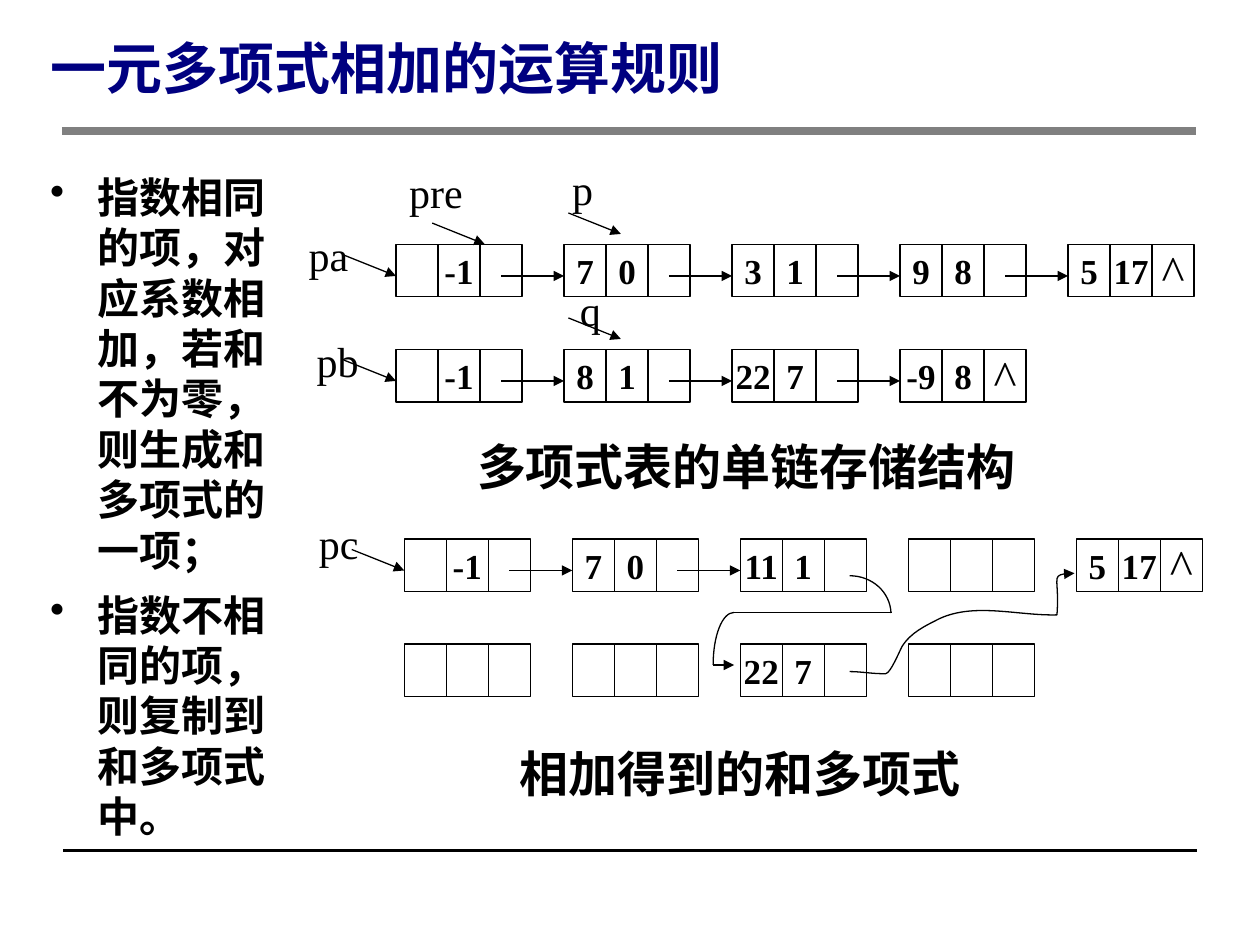
from lxml.etree import SubElement
from pptx import Presentation
from pptx.dml.color import RGBColor
from pptx.enum.shapes import MSO_CONNECTOR, MSO_SHAPE
from pptx.enum.text import MSO_ANCHOR, PP_ALIGN
from pptx.oxml.ns import qn
from pptx.util import Pt

BLACK = RGBColor(0, 0, 0)
GRAY = RGBColor(128, 128, 128)
NAVY = RGBColor(0, 0, 128)
LATIN = "Times New Roman"
HAN = "Noto Sans CJK SC"
CELL, HIGH, PITCH, DROP = 24, 30, 96, 18


class Board:
    def __init__(self, slide):
        self.slide = slide
        self.shapes = slide.shapes

    def stroke(self, line, width=0.75, color=BLACK, tip=False):
        line.color.rgb = color
        line.width = Pt(width)
        if tip:
            SubElement(line._get_or_add_ln(), qn("a:tailEnd"), type="triangle")

    def line(self, x, y, wide, high=0, tip=False, width=0.75, color=BLACK):
        link = self.shapes.add_connector(
            MSO_CONNECTOR.STRAIGHT, Pt(x), Pt(y), Pt(x + wide), Pt(y + high))
        self.stroke(link.line, width, color, tip)
        SubElement(link._element.spPr, qn("a:effectLst"))

    def dart(self, x, y):
        self.line(x, y, 30, 12, tip=True)

    def run(self, para, text, size, font=LATIN, bold=False, color=BLACK):
        run = para.add_run()
        run.text = text
        run.font.size = Pt(size)
        run.font.bold = bold
        run.font.color.rgb = color
        run.font.name = font
        SubElement(run._r.get_or_add_rPr(), qn("a:ea"), typeface=font)

    def cell(self, x, y, text):
        box = self.shapes.add_shape(
            MSO_SHAPE.RECTANGLE, Pt(x), Pt(y), Pt(CELL), Pt(HIGH))
        box.shadow.inherit = False
        box.fill.background()
        self.stroke(box.line)
        if text:
            frame = box.text_frame
            frame.word_wrap = False
            frame.vertical_anchor = MSO_ANCHOR.MIDDLE
            para = frame.paragraphs[0]
            para.alignment = PP_ALIGN.CENTER
            end = text == "^"
            self.run(para, text, 28 if end else 20, bold=not end)

    def row(self, x, y, nodes, links=0):
        for i, node in enumerate(nodes):
            left = x + i * PITCH
            for j, text in enumerate(node):
                self.cell(left + j * CELL, y, text)
            if i < links:
                self.line(left + 60, y + DROP, 36, tip=True)
        if links:
            self.dart(x - 30, y + 6)

    def text(self, x, y, wide, high, lines, size, font=LATIN, align=PP_ALIGN.LEFT,
             bold=False, color=BLACK, space=1.2, gap=0, dot=False, mid=False):
        frame = self.shapes.add_textbox(Pt(x), Pt(y), Pt(wide), Pt(high)).text_frame
        frame.word_wrap = True
        if mid:
            frame.vertical_anchor = MSO_ANCHOR.MIDDLE
        for i, text in enumerate(lines):
            para = frame.add_paragraph() if i else frame.paragraphs[0]
            para.alignment = align
            para.line_spacing = Pt(size * space)
            props = para._p.get_or_add_pPr()
            if gap:
                before = SubElement(props, qn("a:spcBef"))
                SubElement(before, qn("a:spcPct"), val=str(gap * 1000))
            if dot:
                props.set("marL", str(Pt(27)))
                props.set("indent", str(-Pt(27)))
                SubElement(props, qn("a:buChar"), char="•")
            self.run(para, text, size, font, bold, color)

    def label(self, x, y, wide, text):
        self.text(x, y, wide, 36, [text], 24, align=PP_ALIGN.RIGHT, gap=50)

    def title(self, x, y, text):
        self.text(x, y, 366, 41, [text], 28, HAN, PP_ALIGN.CENTER, True, gap=50)

    def curve(self, start, knots, tip=False):
        pen = self.shapes.build_freeform(Pt(start[0]), Pt(start[1]))
        pen.add_line_segments([(Pt(x), Pt(y)) for x, y in knots], close=False)
        shape = pen.convert_to_shape()
        shape.shadow.inherit = False
        shape.fill.background()
        self.stroke(shape.line, tip=tip)
        steps = list(shape._element.iter(qn("a:lnTo")))
        for i in range(0, len(steps), 3):
            bend = SubElement(steps[i].getparent(), qn("a:cubicBezTo"))
            for step in steps[i:i + 3]:
                bend.append(step[0])
                step.getparent().remove(step)


def main():
    deck = Presentation()
    deck.slide_width, deck.slide_height = Pt(720), Pt(540)
    board = Board(deck.slides.add_slide(deck.slide_layouts[6]))

    board.line(36, 486, 648, width=2)
    board.line(35.3, 74.9, 648, width=5, color=GRAY)

    head = ("", "-1", "")
    void = ("", "", "")
    last = ("5", "17", "^")
    board.row(226.3, 139.7, [head, ("7", "0", ""), ("3", "1", ""),
                             ("9", "8", ""), last], 4)
    board.row(226.3, 199.7, [head, ("8", "1", ""), ("22", "7", ""),
                             ("-9", "8", "^")], 3)
    board.row(231, 308, [head, ("7", "0", ""), ("11", "1", ""), void, last], 2)
    board.row(231, 368, [void, void, ("22", "7", ""), void])

    for x, y in [(247, 127.5), (324.8, 121.7), (324.8, 181.7)]:
        board.dart(x, y)
    for x, y, wide, text in [
            (164, 127.5, 42, "pa"), (164, 188, 48, "pb"), (167, 292.3, 45, "pc"),
            (304, 90, 42, "p"), (302.4, 159, 48, "q"), (217.5, 91.5, 54, "pre")]:
        board.label(x, y, wide, text)
    board.title(243.4, 246.2, "多项式表的单链存储结构")
    board.title(239.8, 421.2, "相加得到的和多项式")

    board.curve((485.5, 329), [(498.5, 329), (508.7, 338.4), (509.2, 350.3)])
    board.line(509.5, 350, -90)
    board.curve((419.5, 350), [(412.6, 350), (407.5, 363.6), (407.5, 380)])
    board.line(407.5, 380, 12, tip=True)
    board.curve((485.5, 383.8), [
        (492.5, 383.8), (499, 385.2), (506.2, 385),
        (509, 384.5), (514, 372.2), (515.5, 369.4),
        (520.6, 361.4), (528.5, 357.8), (537, 353.5),
        (557.3, 344.2), (581.8, 352), (604, 351.4),
        (605.5, 331.2), (599, 327.6), (614, 327.6)], tip=True)

    board.text(21.6, 94.3, 139.7, 395.3, [
        "指数相同的项，对应系数相加，若和不为零，则生成和多项式的一项；",
        "指数不相同的项，则复制到和多项式中。"],
        24, HAN, bold=True, gap=35, dot=True)
    board.text(21.6, 13, 643, 49, ["一元多项式相加的运算规则"], 32, HAN,
               bold=True, color=NAVY, space=1.25, mid=True)
    deck.save("out.pptx")


if __name__ == "__main__":
    main()
